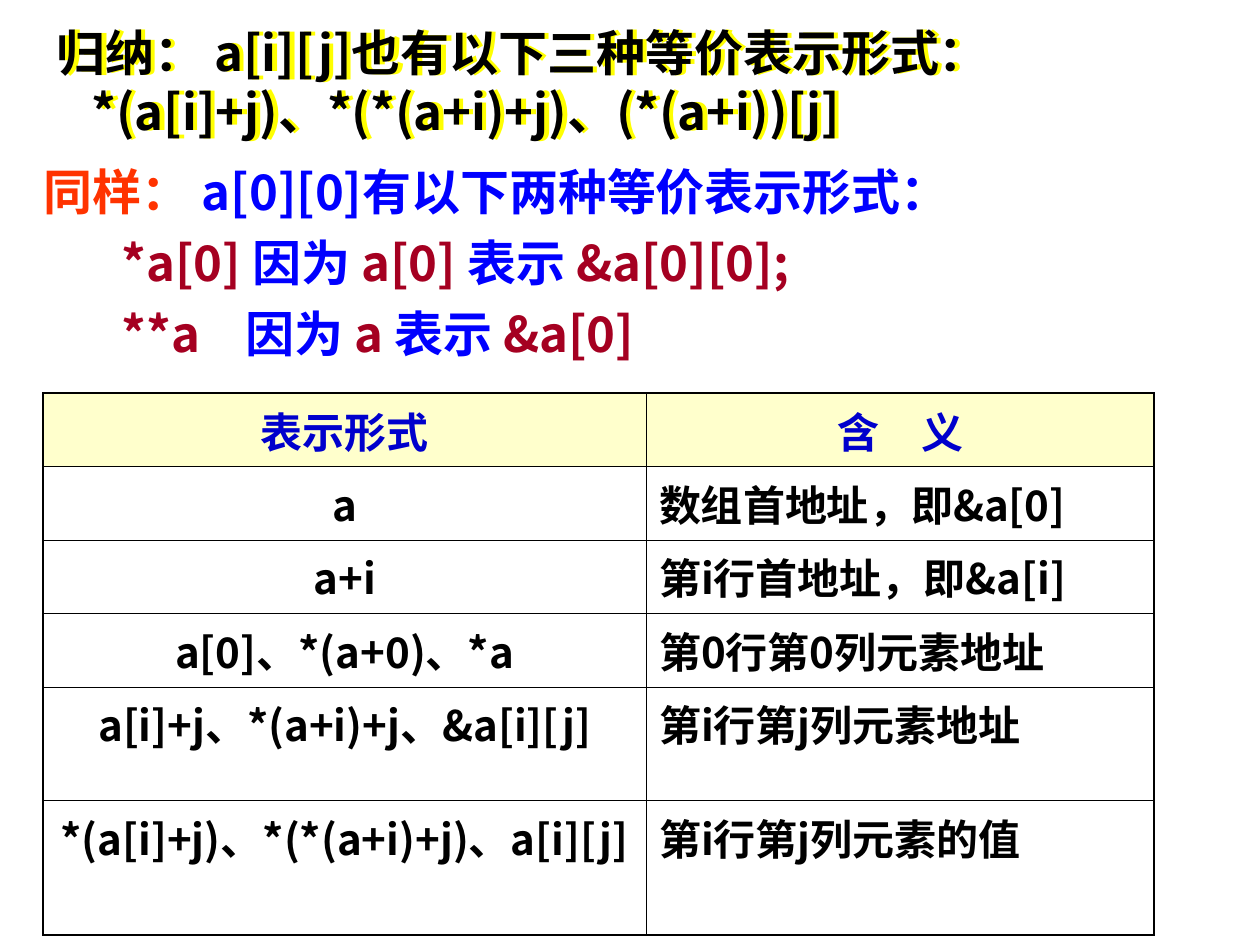
from lxml.etree import SubElement
from pptx import Presentation
from pptx.dml.color import RGBColor
from pptx.enum.text import MSO_ANCHOR, MSO_AUTO_SIZE, PP_ALIGN
from pptx.oxml.ns import qn
from pptx.util import Pt

BLACK = RGBColor(0x00, 0x00, 0x00)
YELLOW = RGBColor(0xFF, 0xFF, 0x00)
ORANGE = RGBColor(0xFF, 0x33, 0x00)
BLUE = RGBColor(0x00, 0x00, 0xFF)
CRIMSON = RGBColor(0xA5, 0x00, 0x21)
HEADER_BLUE = RGBColor(0x00, 0x00, 0xCC)
HEADER_FILL = RGBColor(0xFF, 0xFF, 0xCC)

TITLE = "归纳： a[i][j]也有以下三种等价表示形式：\v\t*(a[i]+j)、*(*(a+i)+j)、(*(a+i))[j]"
EXPLANATIONS = [
    [("同样： ", ORANGE), ("a[0][0]有以下两种等价表示形式：", BLUE)],
    [("\t*a[0] ", CRIMSON), ("因为 ", BLUE), ("a[0] ", CRIMSON),
     ("表示 ", BLUE), ("&a[0][0];", CRIMSON)],
    [("\t**a\t", CRIMSON), ("因为 ", BLUE), ("a ", CRIMSON),
     ("表示 ", BLUE), ("&a[0]", CRIMSON)],
]
MEANINGS = [
    ("表示形式", "含　义"),
    ("a", "数组首地址，即&a[0]"),
    ("a+i", "第i行首地址，即&a[i]"),
    ("a[0]、*(a+0)、*a", "第0行第0列元素地址"),
    ("a[i]+j、*(a+i)+j、&a[i][j]", "第i行第j列元素地址"),
    ("*(a[i]+j)、*(*(a+i)+j)、a[i][j]", "第i行第j列元素的值"),
]


class SlideBuilder:
    font_name = "Noto Sans CJK SC"
    text_size = 28
    table_size = 24
    outer_line = 1.08
    inner_line = 0.45

    def __init__(self, slide):
        self.slide = slide

    def style(self, paragraph, size, color=None, tabs=()):
        properties = paragraph._p.get_or_add_pPr()
        if tabs:
            tab_list = SubElement(properties, qn("a:tabLst"))
            for position in tabs:
                SubElement(tab_list, qn("a:tab"), pos=str(Pt(position)), algn="l")
        font = paragraph.font
        font.size = Pt(size)
        font.bold = True
        if color is not None:
            font.color.rgb = color
        font.name = self.font_name
        SubElement(font._element, qn("a:ea"), typeface=self.font_name)

    def title(self, text, left, top, width, height):
        shape = self.slide.shapes.title
        shape.left, shape.top = Pt(left), Pt(top)
        shape.width, shape.height = Pt(width), Pt(height)
        frame = shape.text_frame
        frame.auto_size = MSO_AUTO_SIZE.NONE
        frame.vertical_anchor = MSO_ANCHOR.MIDDLE
        paragraph = frame.paragraphs[0]
        paragraph.text = text
        paragraph.alignment = PP_ALIGN.LEFT
        self.style(paragraph, self.text_size, BLACK, tabs=[20])
        self.text_shadow(shape)

    def text_shadow(self, shape):
        """Unfilled shapes cast their shadow from the text."""
        effects = SubElement(shape._element.spPr, qn("a:effectLst"))
        shadow = SubElement(effects, qn("a:outerShdw"), dist=str(Pt(2.5)),
                            dir="0", algn="ctr", rotWithShape="0")
        SubElement(shadow, qn("a:srgbClr"), val=str(YELLOW))

    def text_box(self, lines, left, top, width, height):
        shape = self.slide.shapes.add_textbox(Pt(left), Pt(top), Pt(width), Pt(height))
        frame = shape.text_frame
        frame.word_wrap = True
        for index, line in enumerate(lines):
            paragraph = frame.add_paragraph() if index else frame.paragraphs[0]
            if index:
                paragraph.space_before = Pt(7)
            self.style(paragraph, self.text_size, tabs=[44.5, 115])
            for text, color in line:
                run = paragraph.add_run()
                run.text = text
                run.font.color.rgb = color

    def table(self, rows, left, top, widths, heights):
        table = self.slide.shapes.add_table(
            len(rows), len(widths), Pt(left), Pt(top),
            Pt(sum(widths)), Pt(sum(heights))).table
        table.first_row = table.horz_banding = False
        for column, width in zip(table.columns, widths):
            column.width = Pt(width)
        for row, height in zip(table.rows, heights):
            row.height = Pt(height)
        last_row, last_column = len(rows) - 1, len(widths) - 1
        for i, texts in enumerate(rows):
            for j, text in enumerate(texts):
                cell = table.cell(i, j)
                self.borders(cell, left=j == 0, right=j == last_column,
                             top=i == 0, bottom=i == last_row)
                if i == 0:
                    cell.fill.solid()
                    cell.fill.fore_color.rgb = HEADER_FILL
                else:
                    cell.fill.background()
                paragraph = cell.text_frame.paragraphs[0]
                paragraph.text = text
                centred = i == 0 or j == 0
                paragraph.alignment = PP_ALIGN.CENTER if centred else PP_ALIGN.LEFT
                self.style(paragraph, self.table_size, BLACK if i else HEADER_BLUE)

    def borders(self, cell, left, right, top, bottom):
        """Each flag tells whether that side lies on the table's outer edge."""
        properties = cell._tc.get_or_add_tcPr()
        for tag, outer in (("lnL", left), ("lnR", right), ("lnT", top), ("lnB", bottom)):
            width = self.outer_line if outer else self.inner_line
            line = SubElement(properties, qn(f"a:{tag}"), w=str(Pt(width)))
            fill = SubElement(line, qn("a:solidFill"))
            SubElement(fill, qn("a:srgbClr"), val=str(BLACK))


def main():
    presentation = Presentation()
    presentation.slide_width, presentation.slide_height = Pt(720), Pt(540)
    title_only = presentation.slide_layouts[5]
    builder = SlideBuilder(presentation.slides.add_slide(title_only))
    builder.title(TITLE, 25.2, 15, 590, 62.6)
    builder.text_box(EXPLANATIONS, 18, 88.6, 680.4, 124.6)
    builder.table(MEANINGS, 24.5, 224.6, [344.9, 290.2], [42] * 4 + [64.8, 77])
    presentation.save("out.pptx")


if __name__ == "__main__":
    main()
